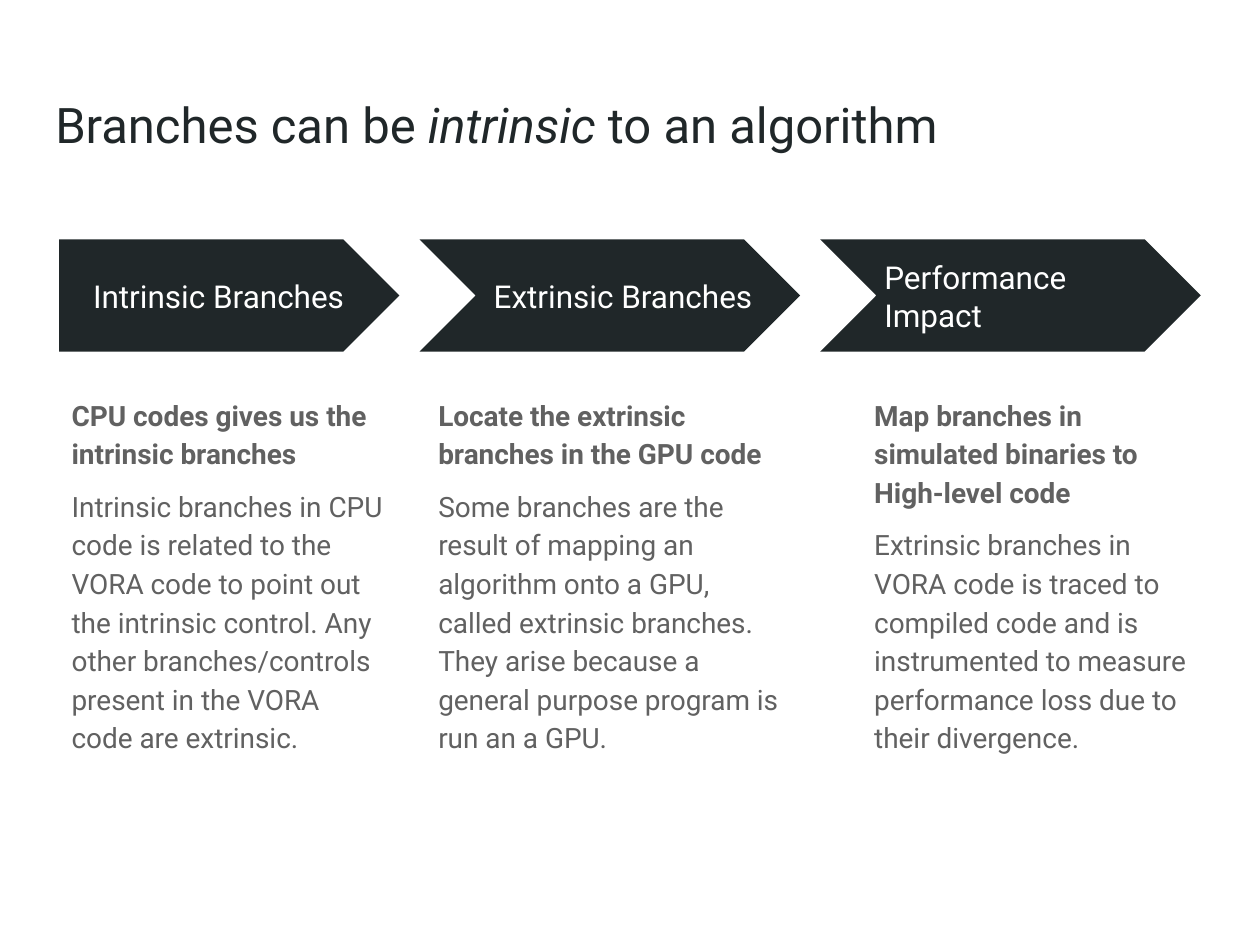
from pptx import Presentation, util as u
from pptx.dml.color import RGBColor
from pptx.enum import shapes, text

WIDTH, HEIGHT = 10, 7.5
DARK, GREY, WHITE = "202729", "616161", "FFFFFF"
FONT = "Roboto"

# Grid: three arrows at an equal pitch, with a heading and a body row
PITCH = 3.18
FIRST_LEFT, ARROW_RIGHT = 0.47, 3.17
ARROW_TOP, ARROW_HEIGHT = 1.9, 0.89
LABEL_TOP, LABEL_WIDTH, LABEL_HEIGHT = 2.12, 2.47, 0.46
BODY_TOP, BODY_HEIGHT = 3.02, 3.87

# Label, label left, body left, body width, heading, body
STEPS = [
    ("Intrinsic Branches", 0.64, 0.47, 2.7,
     "CPU codes gives us the intrinsic branches",
     "Intrinsic branches in CPU code is related to the VORA code to point out "
     "the intrinsic control. Any other branches/controls present in the VORA "
     "code are extrinsic."),
    ("Extrinsic Branches", 3.82, 3.38, 2.92,
     "Locate the extrinsic branches in the GPU code",
     "Some branches are the result of mapping an algorithm onto a GPU, called "
     "extrinsic branches. They arise because a general purpose program is run "
     "an a GPU."),
    ("Performance Impact", 6.92, 6.84, 2.7,
     "Map branches in simulated binaries to High-level code",
     "Extrinsic branches in VORA code is traced to compiled code and is "
     "instrumented to measure performance loss due to their divergence."),
]


def color(value):
    return RGBColor.from_string(value)


def set_all(target, values):
    for name, value in values.items():
        setattr(target, name, value)


def add_text(s, box, paragraphs, size, ink, anchor=text.MSO_ANCHOR.TOP, **spacing):
    """Each paragraph is a list of (words, font values) runs."""
    tf = s.shapes.add_textbox(*map(u.Inches, box)).text_frame
    inset = u.Inches(0.1)
    set_all(tf, dict(word_wrap=True, vertical_anchor=anchor,
                     margin_left=inset, margin_right=inset,
                     margin_top=inset, margin_bottom=inset))
    for i, runs in enumerate(paragraphs):
        p = tf.add_paragraph() if i else tf.paragraphs[0]
        set_all(p, spacing)
        for words, style in runs:
            r = p.add_run()
            r.text = words
            set_all(r.font, dict(name=FONT, size=u.Pt(size), **style))
            r.font.color.rgb = color(ink)


def add_arrow(s, column):
    """The first arrow has a flat back; the others are notched and wider."""
    right = ARROW_RIGHT + column * PITCH
    left = right - 3.02 if column else FIRST_LEFT
    kind = shapes.MSO_SHAPE.CHEVRON if column else shapes.MSO_SHAPE.PENTAGON
    sp = s.shapes.add_shape(kind, *map(u.Inches, (
        left, ARROW_TOP, right - left, ARROW_HEIGHT)))
    sp.shadow.inherit = False
    sp.fill.solid()
    sp.fill.fore_color.rgb = color(DARK)
    sp.line.fill.background()


def add_step(s, column, label, label_left, body_left, body_width, heading, body):
    add_arrow(s, column)
    add_text(s, (label_left, LABEL_TOP, LABEL_WIDTH, LABEL_HEIGHT),
             [[(label, {})]], 18, WHITE, text.MSO_ANCHOR.MIDDLE)
    add_text(s, (body_left, BODY_TOP, body_width, BODY_HEIGHT),
             [[(heading, {"bold": True})], [(body, {})]], 16, GREY,
             line_spacing=1.15, space_after=u.Pt(8))


def main():
    prs = Presentation()
    set_all(prs, dict(slide_width=u.Inches(WIDTH), slide_height=u.Inches(HEIGHT)))
    s = prs.slides.add_slide(prs.slide_layouts[6])
    add_text(s, (0.34, 0.65, 9.32, 0.83),
             [[("Branches can be ", {}), ("intrinsic", {"italic": True}),
               (" to an algorithm", {})]], 28, DARK)
    for column, step in enumerate(STEPS):
        add_step(s, column, *step)
    prs.save("out.pptx")


if __name__ == "__main__":
    main()
